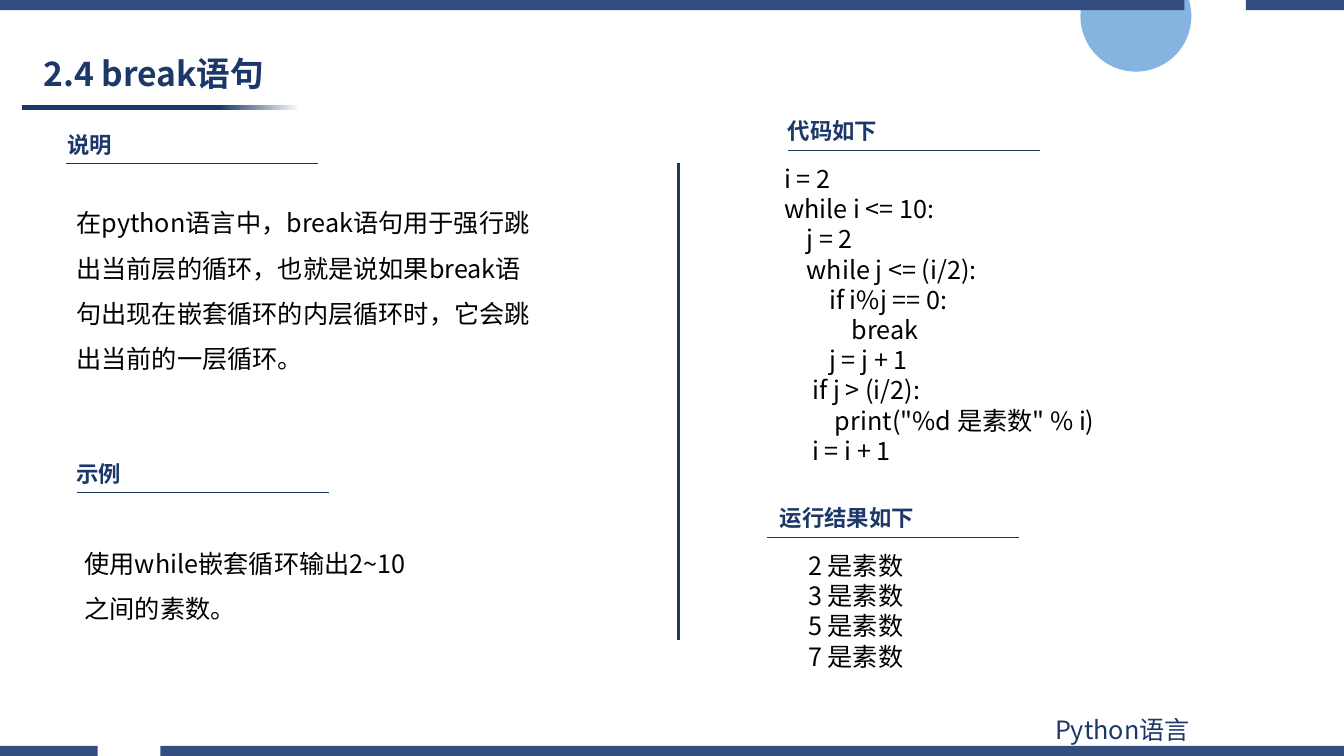
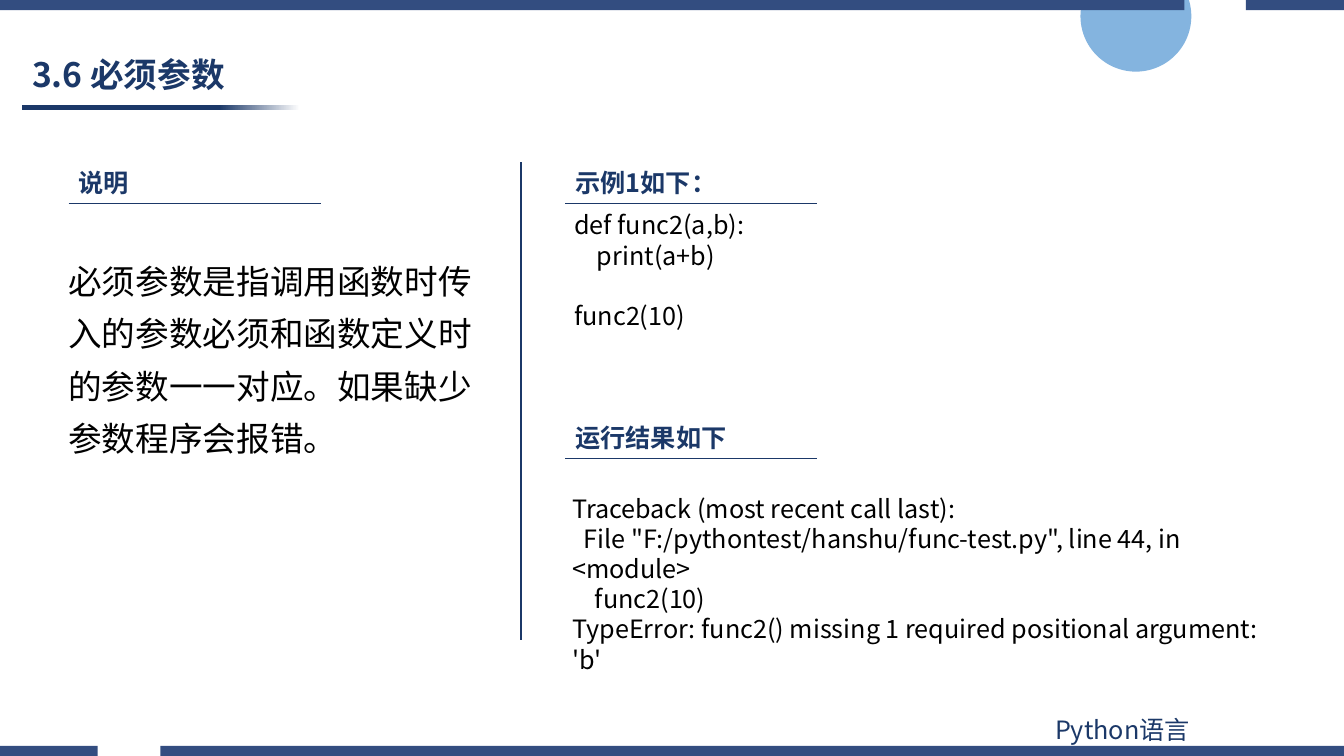
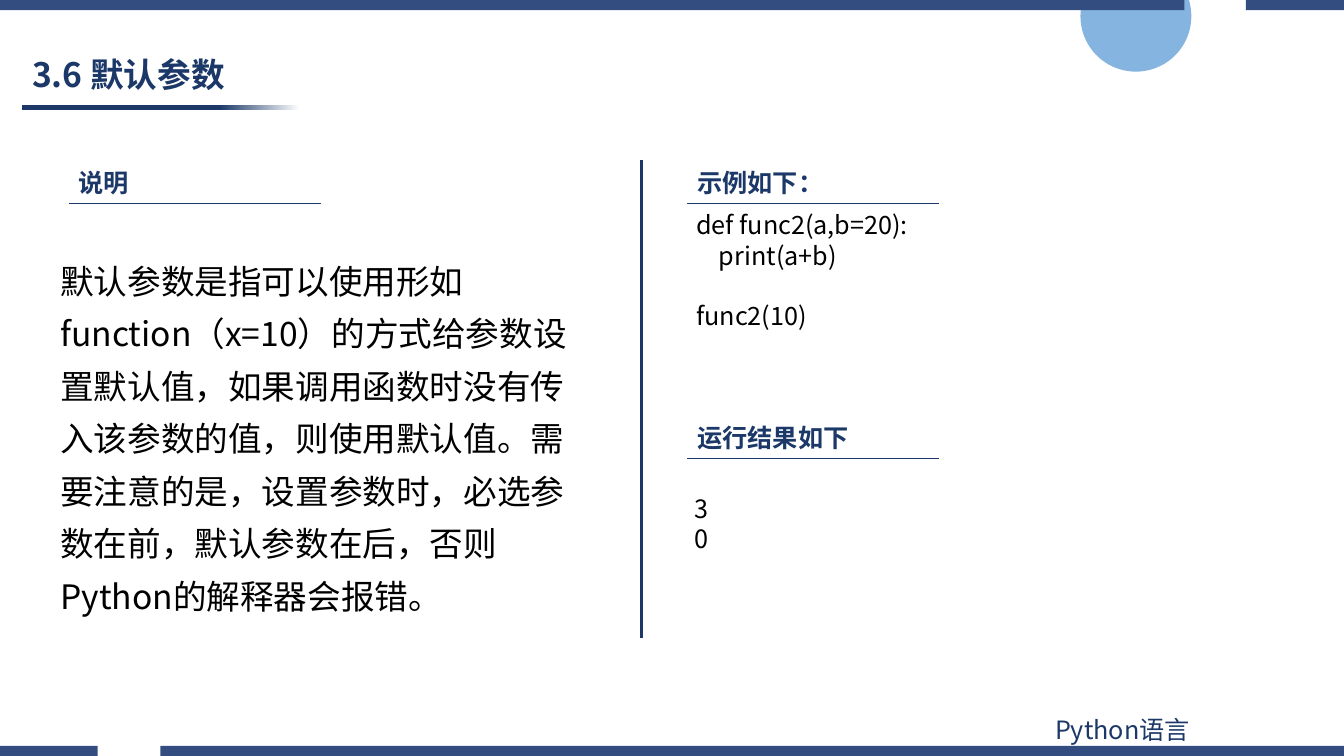
from dataclasses import dataclass
from typing import Sequence

from pptx import Presentation
from pptx.dml.color import RGBColor
from pptx.enum import shapes, text
from pptx.oxml.ns import qn
from pptx.util import Pt

COLORS = {"navy": "1B3868", "band": "334D80", "sky": "5B9BD5", "white": "FFFFFF", "black": "000000"}
FONT = "Noto Sans CJK SC"
PAGE_WIDTH, PAGE_HEIGHT, BAND_HEIGHT = 960, 540, 7.2
LINE_FACTOR = 1.2
SPACE_WIDTH = 0.224
RULE_LENGTH = 180


@dataclass(frozen=True)
class Style:
    size: float = 18
    color: str = "black"
    bold: bool = False
    spacing: float = 1

    @property
    def line_height(self) -> float:
        return round(self.size * LINE_FACTOR * self.spacing, 2)


@dataclass(frozen=True)
class Block:
    lines: Sequence[str]
    left: float
    top: float
    width: float
    height: float
    style: Style = Style()


@dataclass(frozen=True)
class Heading:
    label: str
    left: float
    top: float
    rule_left: float
    size: float = 18


@dataclass(frozen=True)
class Divider:
    left: float
    top: float
    bottom: float


@dataclass(frozen=True)
class Topic:
    title: Block
    headings: Sequence[Heading]
    blocks: Sequence[Block]
    divider: Divider


TITLE_STYLE = Style(24, "navy", True)
FOOTER = Block(["Python语言"], 746.6, 506.9, 211.7, 28.8, Style(color="navy"))


def rgb(name: str) -> RGBColor:
    return RGBColor.from_string(COLORS[name])


def write(box, block: Block) -> None:
    style = block.style
    box.left, box.top = Pt(block.left), Pt(block.top)
    box.width, box.height = Pt(block.width), Pt(block.height)
    frame = box.text_frame
    frame.word_wrap = True
    frame.auto_size = text.MSO_AUTO_SIZE.NONE
    frame.text = "\n".join(line.strip() for line in block.lines if line)
    gap = 0
    paras = iter(frame.paragraphs)
    for line in block.lines:
        if not line:
            gap += style.line_height
            continue
        para = next(paras)
        para.alignment = text.PP_ALIGN.LEFT
        para.line_spacing = Pt(style.line_height)
        para.space_before = Pt(gap)
        gap = 0
        depth = len(line) - len(line.lstrip())
        if depth:
            properties = para._p.get_or_add_pPr()
            properties.set("marL", "0")
            properties.set("indent", str(int(Pt(depth * style.size * SPACE_WIDTH))))
        for span in para.runs:
            font = span.font
            font.name, font.size, font.bold = FONT, Pt(style.size), style.bold
            font.color.rgb = rgb(style.color)
            east_asian = span._r.get_or_add_rPr().makeelement(qn("a:ea"), {"typeface": FONT})
            font._element.find(qn("a:latin")).addnext(east_asian)


def add_block(page, block: Block) -> None:
    box = page.shapes.add_textbox(Pt(block.left), Pt(block.top), Pt(block.width), Pt(block.height))
    write(box, block)


def add_rule(page, start: tuple[float, float], end: tuple[float, float], weight: float) -> None:
    rule = page.shapes.add_connector(
        shapes.MSO_CONNECTOR.STRAIGHT, *(Pt(value) for value in (*start, *end))
    )
    rule.line.color.rgb = rgb("navy")
    rule.line.width = Pt(weight)
    properties = rule._element.spPr
    properties.append(properties.makeelement(qn("a:effectLst"), {}))


def add_heading(page, heading: Heading) -> None:
    style = Style(heading.size, "navy", True)
    height = style.line_height + 7.2
    add_block(page, Block([heading.label], heading.left, heading.top, 244.8, height, style))
    rule_top = heading.top + height + 0.5
    add_rule(page, (heading.rule_left, rule_top), (heading.rule_left + RULE_LENGTH, rule_top), 0.5)


def add_plain_shape(page, kind, left: float, top: float, width: float, height: float):
    shape = page.shapes.add_shape(kind, Pt(left), Pt(top), Pt(width), Pt(height))
    shape.shadow.inherit = False
    shape.line.fill.background()
    return shape


def add_band(page, top: float, gap_start: float, gap_end: float) -> None:
    bottom = top + BAND_HEIGHT
    builder = page.shapes.build_freeform(Pt(0), Pt(top))
    for left, right in ((0, gap_start), (gap_end, PAGE_WIDTH)):
        builder.move_to(Pt(left), Pt(top))
        corners = ((right, top), (right, bottom), (left, bottom))
        builder.add_line_segments([(Pt(x), Pt(y)) for x, y in corners])
    band = builder.convert_to_shape()
    band.shadow.inherit = False
    band.line.fill.background()
    band.fill.solid()
    band.fill.fore_color.rgb = rgb("band")


def add_frame(page, layout) -> None:
    for placeholder in list(layout.placeholders):
        if placeholder.placeholder_format.type != shapes.PP_PLACEHOLDER.TITLE:
            layout.shapes.element.remove(placeholder.element)
    circle = add_plain_shape(page, shapes.MSO_SHAPE.OVAL, 771.8, -28, 79.2, 79.2)
    circle.fill.solid()
    circle.fill.fore_color.rgb = rgb("sky")
    tint = circle._element.spPr.find(".//" + qn("a:srgbClr"))
    tint.append(tint.makeelement(qn("a:alpha"), {"val": "75000"}))

    underline = add_plain_shape(page, shapes.MSO_SHAPE.RECTANGLE, 15.5, 75, 198.7, 3.6)
    underline.fill.gradient()
    underline.fill.gradient_angle = 0
    for stop, (position, color) in zip(
        underline.fill.gradient_stops, ((0.71, "navy"), (1, "white"))
    ):
        stop.position = position
        stop.color.rgb = rgb(color)

    add_band(page, PAGE_HEIGHT - BAND_HEIGHT, 69.8, 114.5)
    add_band(page, 0, 846, 889.9)
    add_block(page, FOOTER)
    for shape in list(page.shapes):
        if not shape.is_placeholder:
            layout.shapes.element.append(shape.element)


def parameter_topic(
    title: str, explanation: Block, right: float, divider: Divider,
    example: str, code: Sequence[str], result: Sequence[str], result_width: float,
) -> Topic:
    return Topic(
        Block([title], 15.8, 32.4, 287.3, 40.3, TITLE_STYLE),
        [
            Heading("说明", 49, 116, 49),
            Heading(example, right, 116, right),
            Heading("运行结果如下", right, 298, right),
        ],
        [
            explanation,
            Block(code, right - 0.7, 146.2, 292.3, 94.3),
            Block(result, right - 2.2, 348.5, result_width, 21.6 * len(result) + 7.2),
        ],
        divider,
    )


BODY = Style(spacing=1.5)
LARGE_BODY = Style(24, spacing=1.3)
TOPICS = [
    Topic(
        Block(["2.4 break语句"], 23.8, 31.7, 257, 40.3, TITLE_STYLE),
        [
            Heading("代码如下", 555.8, 80.4, 563, 16),
            Heading("说明", 41, 89.8, 47.5, 16),
            Heading("示例", 47.5, 325, 54.7, 16),
            Heading("运行结果如下", 550, 356.6, 548, 16),
        ],
        [
            Block(
                [
                    "i = 2",
                    "while i <= 10:",
                    "    j = 2",
                    "    while j <= (i/2):",
                    "        if i%j == 0:",
                    "            break",
                    "        j = j + 1",
                    "     if j > (i/2):",
                    '         print("%d 是素数" % i)',
                    "     i = i + 1",
                ],
                553, 113, 324, 225.4,
            ),
            Block(
                ["在python语言中，break语句用于强行跳出当前层的循环，也就是说如果break语句"
                 "出现在嵌套循环的内层循环时，它会跳出当前的一层循环。"],
                47.5, 134, 343.4, 138.2, BODY,
            ),
            Block(["使用while嵌套循环输出2~10之间的素数。"], 53.3, 377.3, 244.8, 72.7, BODY),
            Block([f"{prime} 是素数" for prime in (2, 3, 5, 7)], 570.2, 389.5, 244.8, 94.3),
        ],
        Divider(484.6, 116.6, 457.2),
    ),
    parameter_topic(
        "3.6 必须参数",
        Block(
            ["必须参数是指调用函数时传入的参数必须和函数定义时的参数一一对应。如果缺少参数程序会报错。"],
            41.8, 174.2, 306.7, 158.4, LARGE_BODY,
        ),
        403.9, Divider(372.2, 116, 457.2), "示例1如下：",
        ["def func2(a,b):", "    print(a+b)", "", "func2(10)"],
        [
            "Traceback (most recent call last):",
            '  File "F:/pythontest/hanshu/func-test.py", line 44, in <module>',
            "    func2(10)",
            "TypeError: func2() missing 1 required positional argument: 'b'",
        ],
        507.6,
    ),
    parameter_topic(
        "3.6 默认参数",
        Block(
            ["默认参数是指可以使用形如function（x=10）的方式给参数设置默认值，如果调用函数时"
             "没有传入该参数的值，则使用默认值。需要注意的是，设置参数时，必选参数在前，"
             "默认参数在后，否则Python的解释器会报错。"],
            36, 174.2, 389.5, 272.2, LARGE_BODY,
        ),
        491, Divider(458, 114.5, 455.8), "示例如下：",
        ["def func2(a,b=20):", "    print(a+b)", "", "func2(10)"],
        ["30"],
        33.8,
    ),
]


def add_topic(page, topic: Topic) -> None:
    title = page.shapes.title
    write(title, topic.title)
    title.text_frame.vertical_anchor = text.MSO_ANCHOR.MIDDLE
    for heading in topic.headings:
        add_heading(page, heading)
    for block in topic.blocks:
        add_block(page, block)
    divider = topic.divider
    add_rule(page, (divider.left, divider.top), (divider.left, divider.bottom), 2)


def main() -> None:
    deck = Presentation()
    deck.slide_width, deck.slide_height = Pt(PAGE_WIDTH), Pt(PAGE_HEIGHT)
    layout = deck.slide_layouts[5]
    pages = [deck.slides.add_slide(layout) for _ in TOPICS]
    add_frame(pages[0], layout)
    for page, topic in zip(pages, TOPICS):
        add_topic(page, topic)
    deck.save("out.pptx")


if __name__ == "__main__":
    main()
